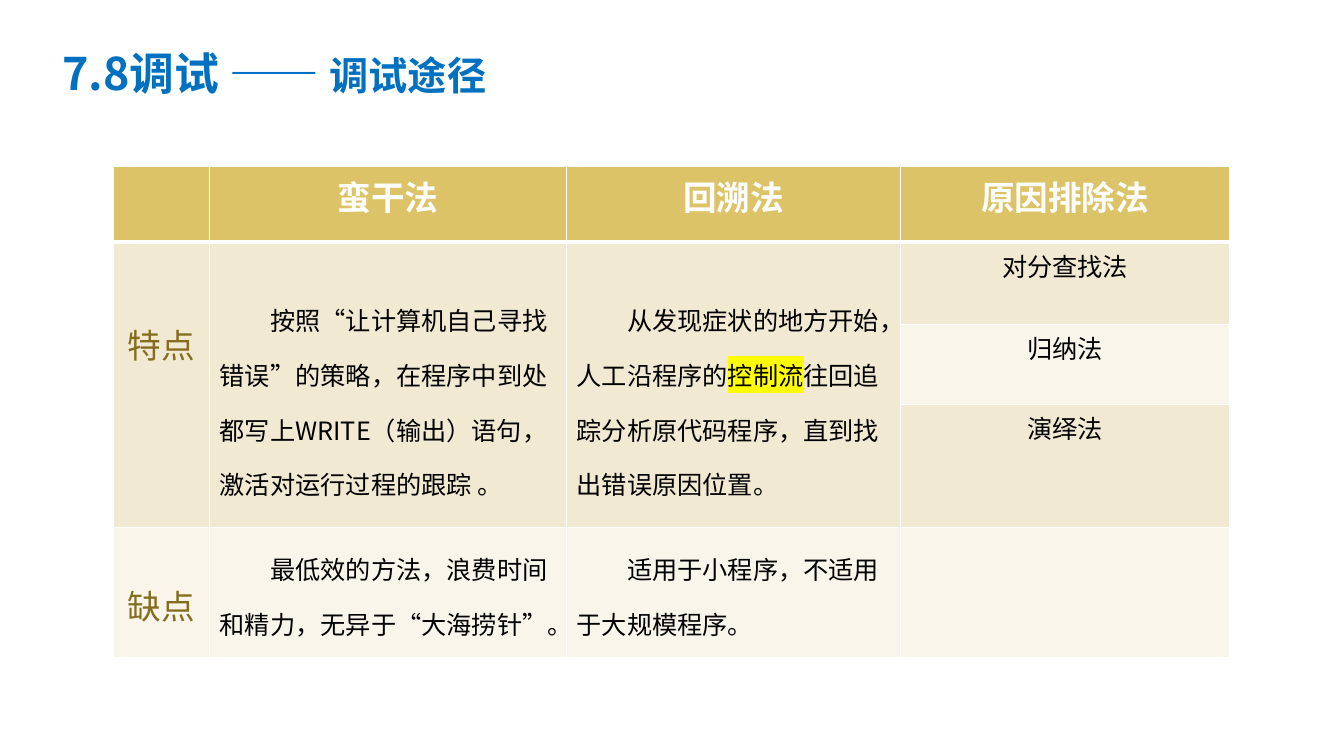
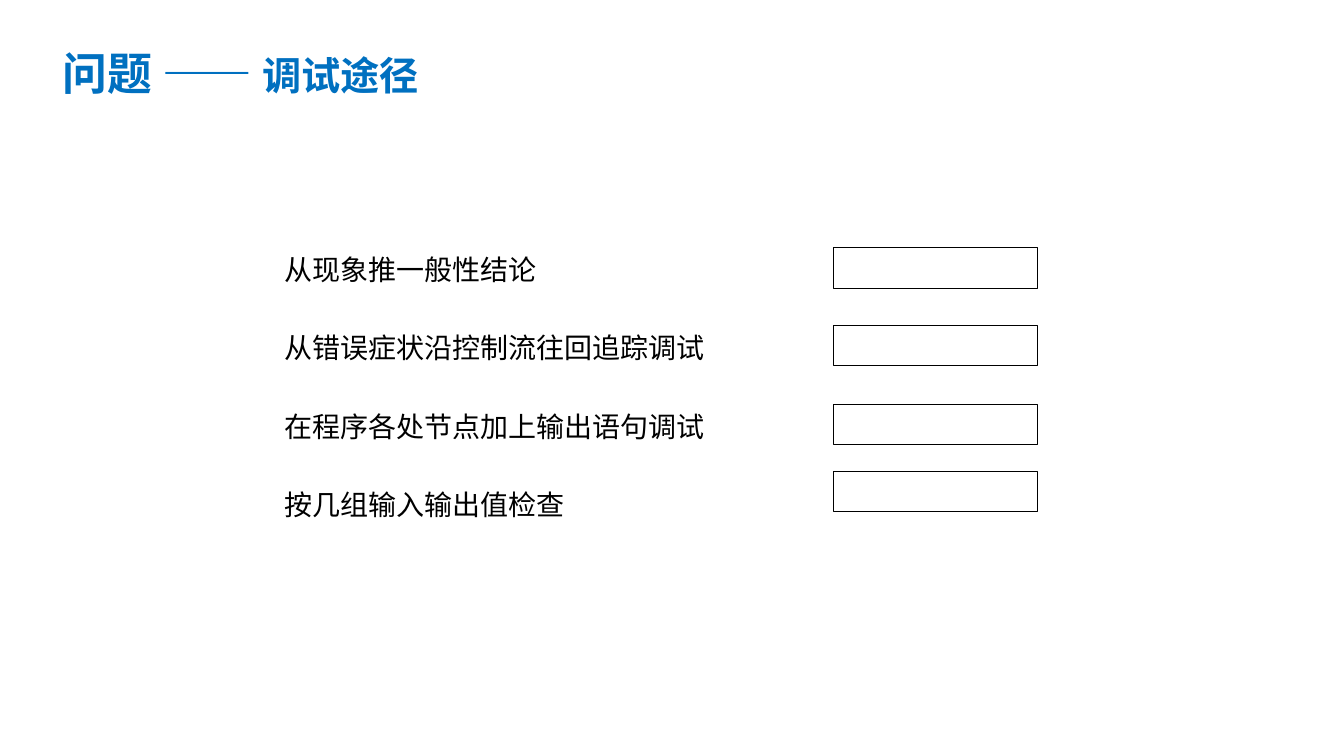
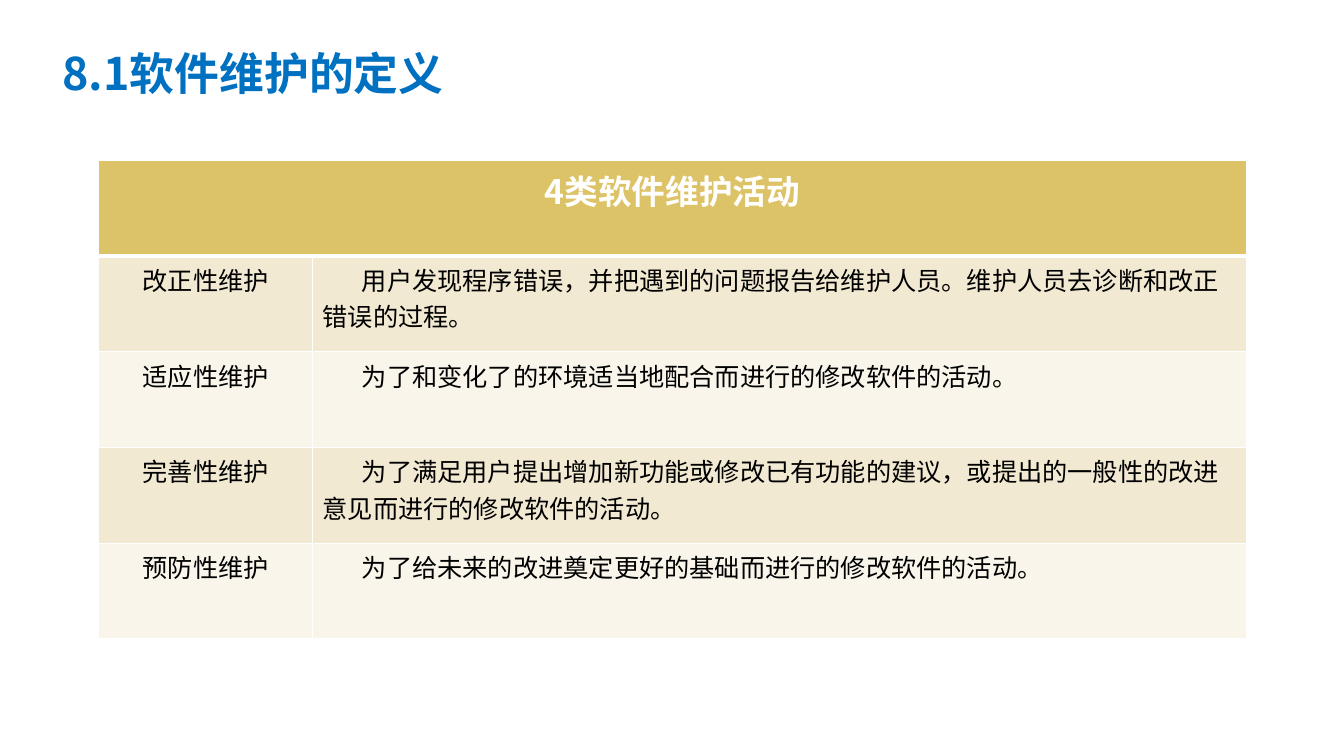
from dataclasses import dataclass

from lxml import etree
from pptx import Presentation
from pptx.dml.color import RGBColor
from pptx.enum.shapes import MSO_SHAPE
from pptx.enum.text import MSO_ANCHOR, MSO_AUTO_SIZE, PP_ALIGN
from pptx.oxml.ns import qn
from pptx.util import Inches, Pt

RECTANGLE = MSO_SHAPE.RECTANGLE
TOP = MSO_ANCHOR.TOP
FIT_SHAPE = MSO_AUTO_SIZE.SHAPE_TO_FIT_TEXT
LEFT, CENTER = PP_ALIGN.LEFT, PP_ALIGN.CENTER


@dataclass(frozen=True)
class Theme:
    """Colours and type sizes of the presentation."""
    font: str = "Noto Sans CJK SC"
    title: str = "0070C0"
    white: str = "FFFFFF"
    black: str = "000000"
    gold: str = "DDC367"
    dark_gold: str = "846E1E"
    bands: tuple = ("F2E9D3", "F9F5EB")
    highlight: str = "FFFF00"
    title_size: int = 32
    subtitle_size: int = 28
    heading_size: int = 24
    question_size: int = 20
    body_size: int = 18


THEME = Theme()
TITLE_BOX = (0.52, 0.46, 6.67, 0.84)


@dataclass(frozen=True)
class Entry:
    """Text and format of one table cell."""
    row: int
    column: int
    text: str
    style: str = "body"
    margin_top: float = 0.05
    indent: float = 0
    line_spacing: float = 1.0
    marked: str = ""


STYLES = {
    "heading": (THEME.heading_size, THEME.white, True, CENTER),
    "label": (THEME.heading_size, THEME.dark_gold, False, CENTER),
    "name": (THEME.body_size, THEME.black, False, CENTER),
    "body": (THEME.body_size, THEME.black, False, LEFT),
}


def apply_format(target, **values):
    """Set each named attribute on the target."""
    for name, value in values.items():
        setattr(target, name, value)


def fill_with(target, color):
    """Give a shape or cell a solid fill."""
    target.fill.solid()
    target.fill.fore_color.rgb = RGBColor.from_string(color)


def add_text(paragraph, text, size, color, bold=False, highlight=None):
    """Append one formatted run to a paragraph."""
    run = paragraph.add_run()
    run.text = text
    apply_format(run.font, size=Pt(size), bold=bold, name=THEME.font)
    run.font.color.rgb = RGBColor.from_string(color)
    properties = run.font._element
    latin = properties.find(qn("a:latin"))
    east_asian = etree.Element(qn("a:ea"), typeface=THEME.font)
    latin.addnext(east_asian)
    if highlight:
        mark = etree.Element(qn("a:highlight"))
        etree.SubElement(mark, qn("a:srgbClr"), val=highlight)
        latin.addprevious(mark)


def add_box(slide, box):
    """Add a plain rectangle without shadow."""
    shape = slide.shapes.add_shape(RECTANGLE, *map(Inches, box))
    shape.shadow.inherit = False
    return shape


def add_title(slide, title, subtitle=""):
    """Add the slide title with an optional smaller subtitle."""
    shape = add_box(slide, TITLE_BOX)
    fill_with(shape, THEME.white)
    shape.line.fill.background()
    apply_format(shape.text_frame, word_wrap=True, vertical_anchor=TOP)
    paragraph = shape.text_frame.paragraphs[0]
    apply_format(paragraph, alignment=LEFT, line_spacing=0.9)
    lead = f"{title} —— " if subtitle else title
    add_text(paragraph, lead, THEME.title_size, THEME.title, True)
    if subtitle:
        add_text(paragraph, subtitle, THEME.subtitle_size, THEME.title, True)


def set_borders(cell, widths):
    """Draw white cell borders in left, right, top, bottom order."""
    properties = cell._tc.get_or_add_tcPr()
    for position, (side, width) in enumerate(zip("LRTB", widths)):
        line = etree.Element(qn(f"a:ln{side}"), w=str(Pt(width)))
        fill = etree.SubElement(line, qn("a:solidFill"))
        etree.SubElement(fill, qn("a:srgbClr"), val=THEME.white)
        properties.insert(position, line)


def write_entry(cell, entry):
    """Write the text of an entry into its cell."""
    size, color, bold, alignment = STYLES[entry.style]
    cell.margin_top = Inches(entry.margin_top)
    paragraph = cell.text_frame.paragraphs[0]
    apply_format(paragraph, alignment=alignment,
                 line_spacing=entry.line_spacing)
    if entry.indent:
        properties = paragraph._p.get_or_add_pPr()
        properties.set("marL", "0")
        properties.set("indent", str(Inches(entry.indent)))
    before, mark, after = (entry.text.partition(entry.marked)
                           if entry.marked else (entry.text, "", ""))
    for text, highlight in ((before, None), (mark, THEME.highlight),
                            (after, None)):
        if text:
            add_text(paragraph, text, size, color, bold, highlight)


def add_banded_table(slide, left, top, columns, rows, entries, merges=()):
    """Add a table with a gold heading row and banded body rows."""
    frame = slide.shapes.add_table(
        len(rows), len(columns), Inches(left), Inches(top),
        Inches(sum(columns)), Inches(sum(rows)))
    table = frame.table
    apply_format(table, first_row=False, horz_banding=False)
    for column, width in zip(table.columns, columns):
        column.width = Inches(width)
    for index, (row, height) in enumerate(zip(table.rows, rows)):
        row.height = Inches(height)
        color = THEME.bands[(index - 1) % 2] if index else THEME.gold
        for cell in row.cells:
            fill_with(cell, color)
            set_borders(cell, (1, 1, 3 if index == 1 else 1,
                               1 if index else 3))
    for first, last in merges:
        table.cell(*first).merge(table.cell(*last))
    for entry in entries:
        write_entry(table.cell(entry.row, entry.column), entry)


def add_question(slide, text, left, top, width, answer_top):
    """Add one question with its empty answer box."""
    text_box = slide.shapes.add_textbox(
        *map(Inches, (left, top, width, 0.44)))
    apply_format(text_box.text_frame, word_wrap=True, auto_size=FIT_SHAPE)
    add_text(text_box.text_frame.paragraphs[0], text,
             THEME.question_size, THEME.black)
    answer = add_box(slide, (left + 5.55, answer_top, 2.02, 0.4))
    answer.fill.background()
    answer.line.color.rgb = RGBColor.from_string(THEME.black)
    answer.line.width = Pt(0.75)


def build_approaches(slide):
    """Compare the debugging approaches in a table."""
    add_title(slide, "7.8调试", "调试途径")
    prose = {"indent": 0.5, "line_spacing": 1.5}
    headings = ("蛮干法", "回溯法", "原因排除法")
    methods = ("对分查找法", "归纳法", "演绎法")
    entries = [Entry(0, column, text, "heading")
               for column, text in enumerate(headings, 1)]
    entries += [Entry(row, 3, text, "name")
                for row, text in enumerate(methods, 1)]
    entries += [
        Entry(1, 0, "特点", "label", 0.77),
        Entry(1, 1, "按照“让计算机自己寻找错误”的策略，在程序中到处都写上"
              "WRITE（输出）语句，激活对运行过程的跟踪 。",
              margin_top=0.41, **prose),
        Entry(1, 2, "从发现症状的地方开始，人工沿程序的控制流往回追踪分析"
              "原代码程序，直到找出错误原因位置。",
              margin_top=0.41, marked="控制流", **prose),
        Entry(4, 0, "缺点", "label", 0.53),
        Entry(4, 1, "最低效的方法，浪费时间和精力，无异于“大海捞针”。",
              **prose),
        Entry(4, 2, "适用于小程序，不适用于大规模程序。", **prose),
    ]
    merges = [((1, column), (3, column)) for column in range(3)]
    add_banded_table(slide, 1.12, 1.65, (0.96, 3.54, 3.31, 3.27),
                     (0.75, 0.82, 0.79, 1.22, 1.29), entries, merges)


def build_questions(slide):
    """Ask which approach fits each description."""
    add_title(slide, "问题", "调试途径")
    questions = (
        ("从现象推一般性结论", 2.46, 2.75, 2.46),
        ("从错误症状沿控制流往回追踪调试", 3.23, 4.71, 3.23),
        ("在程序各处节点加上输出语句调试", 4.01, 4.71, 4.01),
        ("按几组输入输出值检查", 4.79, 4.51, 4.68),
    )
    for text, top, width, answer_top in questions:
        add_question(slide, text, 2.72, top, width, answer_top)


def build_maintenance(slide):
    """Define the four kinds of software maintenance."""
    add_title(slide, "8.1软件维护的定义")
    activities = (
        ("改正性维护", "用户发现程序错误，并把遇到的问题报告给维护人员。"
         "维护人员去诊断和改正错误的过程。"),
        ("适应性维护", "为了和变化了的环境适当地配合而进行的修改软件的活动。"),
        ("完善性维护", "为了满足用户提出增加新功能或修改已有功能的建议，"
         "或提出的一般性的改进意见而进行的修改软件的活动。"),
        ("预防性维护", "为了给未来的改进奠定更好的基础而进行的修改软件的活动。"),
    )
    entries = [Entry(0, 0, "4类软件维护活动", "heading")]
    for row, (name, meaning) in enumerate(activities, 1):
        entries += [Entry(row, 0, name, "name"),
                    Entry(row, 1, meaning, indent=0.39)]
    add_banded_table(slide, 0.98, 1.59, (2.12, 9.26), (0.95,) * 5,
                     entries, [((0, 0), (0, 1))])


def main():
    """Build and save the presentation."""
    presentation = Presentation()
    apply_format(presentation, slide_width=Inches(13.33),
                 slide_height=Inches(7.5))
    blank = presentation.slide_layouts[6]
    for build in (build_approaches, build_questions, build_maintenance):
        build(presentation.slides.add_slide(blank))
    presentation.save("out.pptx")


main()
